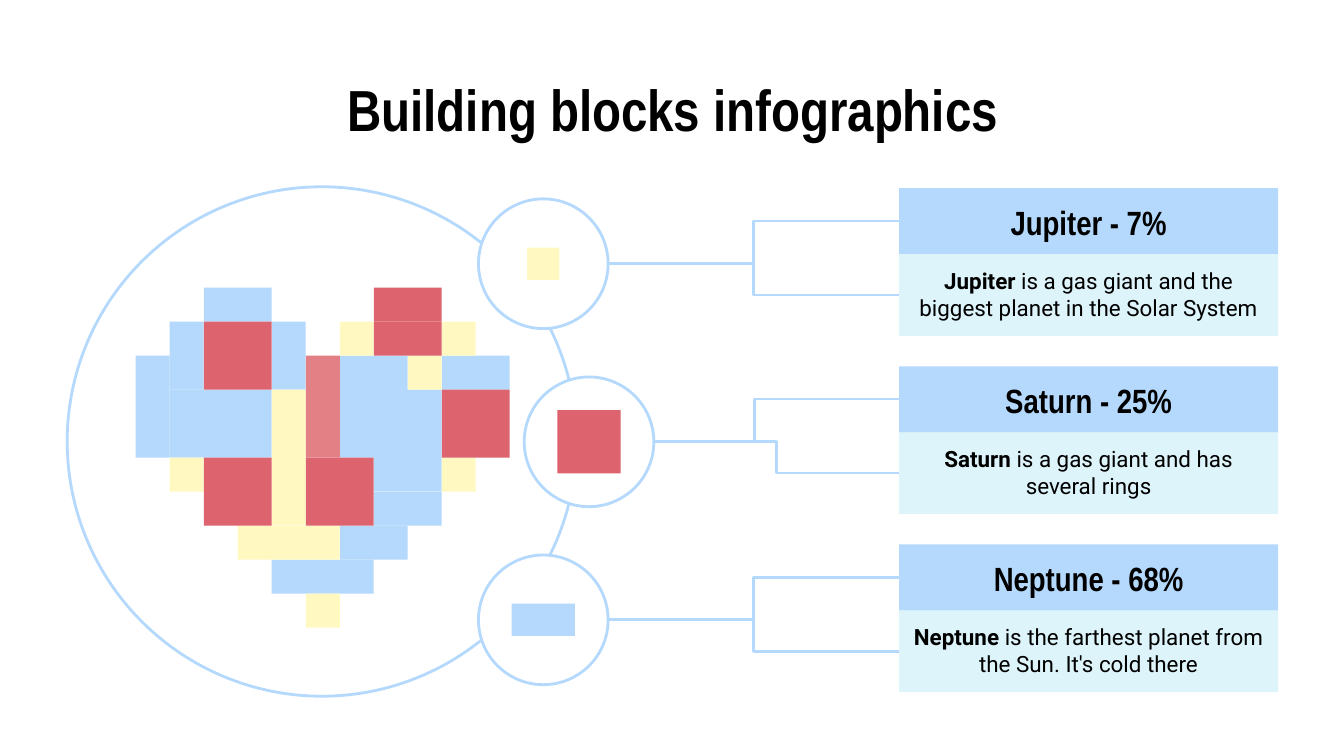
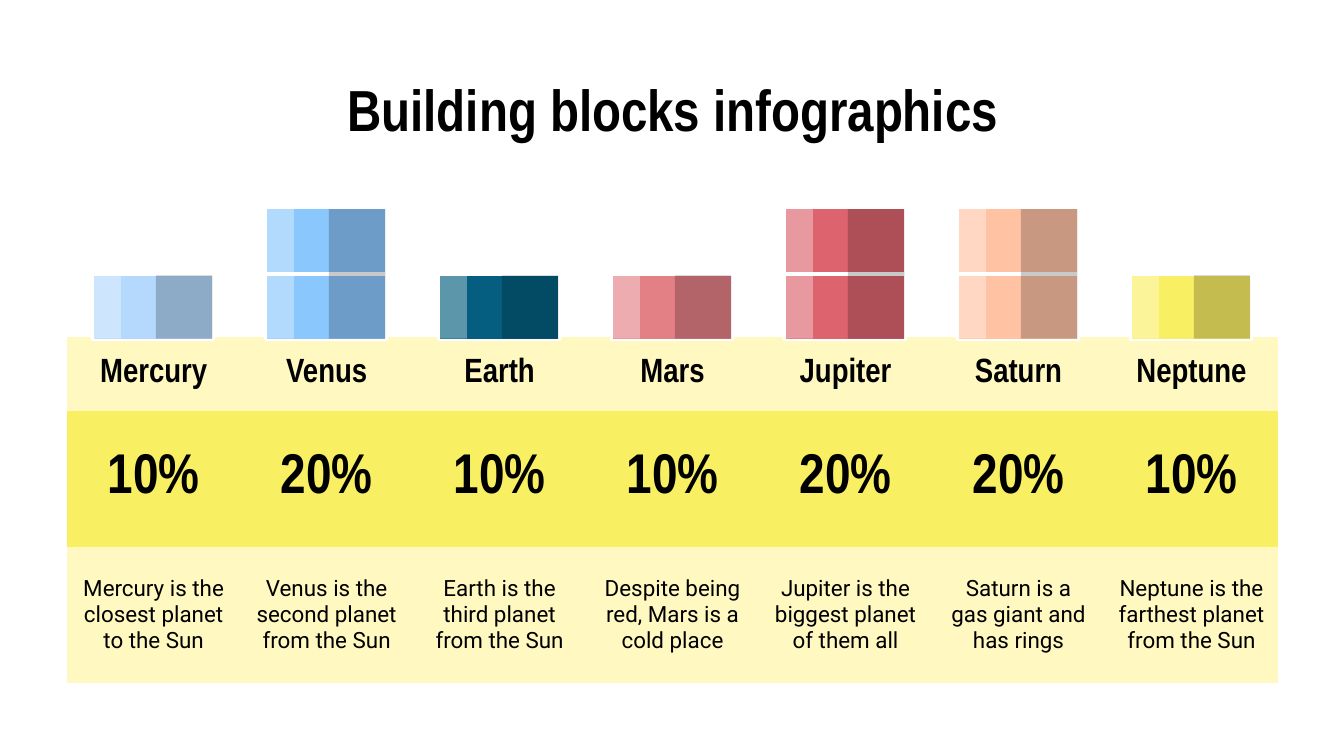
from lxml.etree import SubElement
from pptx import Presentation
from pptx.dml.color import RGBColor
from pptx.enum.shapes import MSO_CONNECTOR as CONN, MSO_SHAPE as SHAPE
from pptx.enum.text import MSO_ANCHOR as ANCHOR, MSO_AUTO_SIZE as AUTO, PP_ALIGN as ALIGN
from pptx.oxml.ns import qn
from pptx.util import Inches, Pt

BLUE, PALE, YELLOW, RED, PINK = "B4D9FC", "FFF9C1", "F9EF63", "DD636E", "E28086"
WHITE, BLACK, CYAN = "FFFFFF", "000000", "02ABE4"
HEAD, BODY = "Arial Narrow", "Roboto"
NO_STYLE = "{2D5ABB26-0587-4C30-8999-92F81FD0307C}"
TITLE = "Building blocks infographics"
LEFT, WIDTH = 5, 90.1


def rgb(value):
    return RGBColor.from_string(value)


class Deck:
    def __init__(self):
        self.prs = Presentation()
        self.prs.slide_width = Inches(10)
        self.prs.slide_height = self.prs.slide_width * 9 // 16
        self.unit = self.prs.slide_width / 100
        self.slide = None

    def grid(self, *cells):
        return [round(c * self.unit) for c in cells]

    def add_slide(self, title):
        self.slide = self.prs.slides.add_slide(self.prs.slide_layouts[5])
        sp = self.slide.shapes.title
        sp.left, sp.top, sp.width, sp.height = self.grid(LEFT, 4.5, WIDTH, 7.3)
        self.put_text(sp.text_frame, [(title, True)], 31, HEAD)

    def inset(self, holder):
        margin, = self.grid(1)
        holder.margin_left = holder.margin_right = margin
        holder.margin_top = holder.margin_bottom = margin

    def put_text(self, tf, parts, size, font, after=0):
        tf.word_wrap = True
        tf.auto_size = AUTO.NONE
        tf.vertical_anchor = ANCHOR.TOP
        self.inset(tf)
        p = tf.paragraphs[0]
        for text, bold in parts:
            p.add_run().text = text
            self.style(p.runs[-1], size, font, bold)
        p.alignment = ALIGN.CENTER
        p.space_before, p.space_after = Pt(0), Pt(after)

    def style(self, r, size, font, bold):
        r.font.size, r.font.name, r.font.bold = Pt(size), font, bold
        r.font.color.rgb = rgb(BLACK)

    def shape(self, x, y, w, h, fill=None, line=None, alpha=None, kind=SHAPE.RECTANGLE):
        sp = self.slide.shapes.add_shape(kind, *self.grid(x, y, w, h))
        sp.shadow.inherit = False
        if fill:
            sp.fill.solid()
            sp.fill.fore_color.rgb = rgb(fill)
        else:
            sp.fill.background()
        if alpha:
            color = sp._element.spPr.find(qn("a:solidFill"))[0]
            SubElement(color, qn("a:alpha"), val=str(alpha * 1000))
        if line:
            sp.line.color.rgb = rgb(line)
            sp.line.width = Pt(1.5)
        else:
            sp.line.fill.background()
        return sp

    def circle(self, x, y, size, fill=None):
        return self.shape(x, y, size, size, fill, BLUE, kind=SHAPE.OVAL)

    def elbow(self, x1, y1, x2, y2, bend):
        cx = self.slide.shapes.add_connector(CONN.ELBOW, *self.grid(x1, y1, x2, y2))
        cx.line.color.rgb = rgb(BLUE)
        cx.line.width = Pt(1.5)
        sp_pr = cx._element.spPr
        SubElement(sp_pr, qn("a:effectLst"))
        guides = sp_pr.find(qn("a:prstGeom")).find(qn("a:avLst"))
        SubElement(guides, qn("a:gd"), name="adj1", fmla=f"val {round(bend * 100000)}")

    def table(self, x, y, w, heights, rows, styles):
        columns = len(rows[0])
        frame = self.slide.shapes.add_table(
            len(rows), columns, *self.grid(x, y, w, sum(heights)))
        tbl = frame.table
        tbl.first_row = tbl.horz_banding = False
        tbl._tbl.tblPr.find(qn("a:tableStyleId")).text = NO_STYLE
        for column in tbl.columns:
            column.width, = self.grid(w / columns)
        for i, (height, texts, (fill, size, font, bold)) in enumerate(zip(heights, rows, styles)):
            tbl.rows[i].height, = self.grid(height)
            for j, text in enumerate(texts):
                cell = tbl.cell(i, j)
                cell.fill.solid()
                cell.fill.fore_color.rgb = rgb(fill)
                cell.vertical_anchor = ANCHOR.MIDDLE
                self.inset(cell)
                p = cell.text_frame.paragraphs[0]
                p.text = text
                p.alignment = ALIGN.CENTER
                self.style(p.runs[0], size, font, bold)


CARDS = [
    ("Jupiter", "7%", " is a gas giant and the biggest planet in the Solar System",
     35.6, (2.4, 2.4), PALE, 0.5),
    ("Saturn", "25%", " is a gas giant and has several rings",
     39, (4.7, 4.7), RED, 0.41),
    ("Neptune", "68%", " is the farthest planet from the Sun. It's cold there",
     35.6, (4.7, 2.4), BLUE, 0.5),
]

HEART = {
    BLUE: [(2, 0, 2, 1), (1, 1, 1, 2), (4, 1, 1, 2), (0, 2, 1, 3), (6, 2, 2, 3),
           (9, 2, 2, 1), (1, 3, 3, 2), (7, 3, 1, 3), (8, 3, 1, 3), (7, 6, 2, 1),
           (6, 7, 2, 1), (4, 8, 3, 1)],
    PALE: [(6, 1, 1, 1), (9, 1, 1, 1), (8, 2, 1, 1), (4, 3, 1, 4), (1, 5, 1, 1),
           (9, 5, 1, 1), (3, 7, 3, 1), (5, 9, 1, 1)],
    RED: [(7, 0, 2, 1), (7, 1, 2, 1), (2, 1, 2, 2), (9, 3, 2, 2), (2, 5, 2, 2),
          (5, 5, 2, 2)],
    PINK: [(5, 2, 1, 3)],
}

PLANETS = [
    ("Mercury", 1, BLUE, "Mercury is the closest planet to the Sun"),
    ("Venus", 2, "8AC7FD", "Venus is the second planet from the Sun"),
    ("Earth", 1, "055E7F", "Earth is the third planet from the Sun"),
    ("Mars", 1, PINK, "Despite being red, Mars is a cold place"),
    ("Jupiter", 2, RED, "Jupiter is the biggest planet of them all"),
    ("Saturn", 2, "FFC2A3", "Saturn is a gas giant and has rings"),
    ("Neptune", 1, YELLOW, "Neptune is the farthest planet from the Sun"),
]


def heart_slide(deck):
    card_x, card_w, head_h, body_h, size = 66.9, 28.2, 4.9, 6.1, 9.65
    deck.add_slide(TITLE)
    deck.circle(LEFT, 13.9, 37.9)
    for i, (name, share, fact, x, (w, h), color, bend) in enumerate(CARDS):
        top = 14 + 13.25 * i
        body = top + head_h
        middle = top + 0.8 + size / 2
        deck.circle(x, top + 0.8, size, WHITE)
        deck.shape(x + (size - w) / 2, middle - h / 2, w, h, color)
        sp = deck.shape(card_x, top, card_w, head_h, BLUE)
        deck.put_text(sp.text_frame, [(f"{name} - {share}", True)], 18, HEAD, after=16)
        sp = deck.shape(card_x, body, card_w, body_h, CYAN, alpha=13)
        deck.put_text(sp.text_frame, [(name, True), (fact, False)], 12, BODY)
        deck.elbow(x + size, middle, card_x, top + head_h / 2, bend)
        deck.elbow(x + size, middle, card_x, body + body_h / 2, 0.5)
    cell = 2.53
    for color, blocks in HEART.items():
        for c, r, w, h in blocks:
            deck.shape(10.1 + c * cell, 21.4 + r * cell, w * cell, h * cell, color)


def planets_slide(deck):
    deck.add_slide(TITLE)
    names, counts, colors, facts = zip(*PLANETS)
    shares = [f"{count * 10}%" for count in counts]
    styles = [(PALE, 18, HEAD, True), (YELLOW, 30, HEAD, True), (PALE, 12, BODY, False)]
    deck.table(LEFT, 25.1, WIDTH, (5.5, 10.1, 10.1), (names, shares, facts), styles)
    step, block_h, base = 4.95, 4.9, 20.4
    for i, (count, color) in enumerate(zip(counts, colors)):
        x = 6.9 + i * WIDTH / len(PLANETS)
        top = base - (count - 1) * step
        for k in range(count):
            deck.shape(x, top + k * step, 9, block_h, color, WHITE)
        height = base + block_h - top - 0.2
        deck.shape(x + 4.7, top + 0.1, 4.2, height, BLACK, alpha=21)
        deck.shape(x + 0.1, top + 0.1, 2, height, WHITE, alpha=35)


def main():
    deck = Deck()
    heart_slide(deck)
    planets_slide(deck)
    deck.prs.save("out.pptx")


if __name__ == "__main__":
    main()
